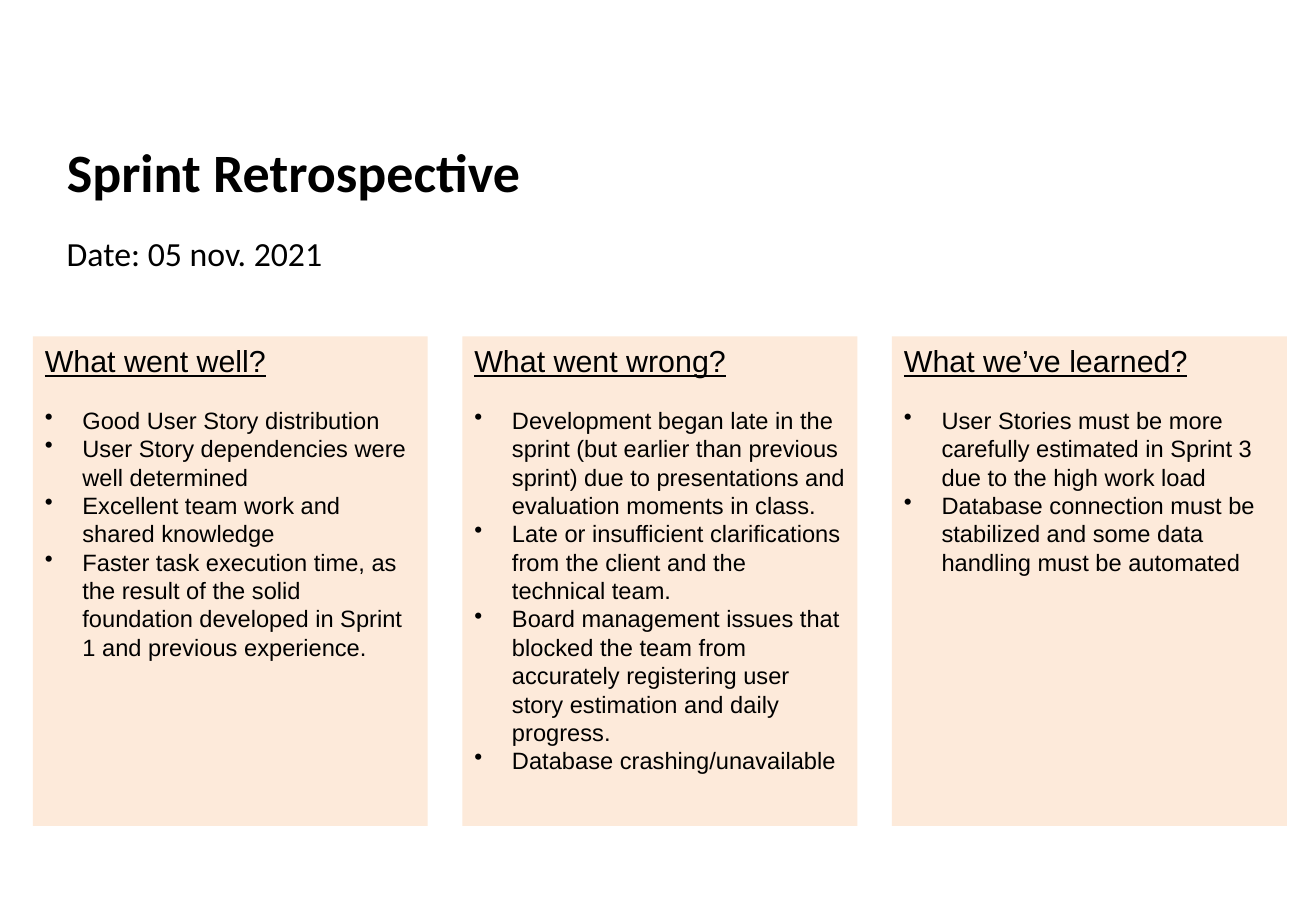
from pptx import Presentation, util as u
from pptx.dml.color import RGBColor
from pptx.enum import shapes, text
from pptx.oxml.ns import qn
from lxml import etree

# Content
TITLE = "Sprint Retrospective"
DATE = "Date: 05 nov. 2021"
CARDS = [
    ("What went well?", [
        "Good User Story distribution",
        "User Story dependencies were well determined",
        "Excellent team work and shared knowledge",
        "Faster task execution time, as the result of the solid foundation "
        "developed in Sprint 1 and previous experience.",
    ]),
    ("What went wrong?", [
        "Development began late in the sprint (but earlier than previous "
        "sprint) due to presentations and evaluation moments in class.",
        "Late or insufficient clarifications from the client and the "
        "technical team.",
        "Board management issues that blocked the team from accurately "
        "registering user story estimation and daily progress.",
        "Database crashing/unavailable",
    ]),
    ("What we’ve learned?", [
        "User Stories must be more carefully estimated in Sprint 3 due to "
        "the high work load",
        "Database connection must be stabilized and some data handling must "
        "be automated",
    ]),
]
COLORS = {"ink": "000000", "card": "FDEADA"}

# Layout, in inches
WIDTH, HEIGHT = 10.83, 7.5
HEAD_X, HEAD_W = 0.45, 9.89
CARD_X, CARD_Y, CARD_W, CARD_H = 0.27, 2.77, 3.25, 4.03
GAP = 0.285
INDENT = 0.31


def color(name):
    return RGBColor.from_string(COLORS[name])


def box(x, y, w, h):
    return [u.Inches(v) for v in (x, y, w, h)]


def style(para, font, size, bold=False, line=False):
    para.alignment = text.PP_ALIGN.LEFT
    para.font.name = font
    para.font.size = u.Pt(size)
    para.font.bold = bold
    para.font.underline = line
    para.font.color.rgb = color("ink")


def bullet(para):
    props = para._p.get_or_add_pPr()
    props.set("marL", str(u.Inches(INDENT)))
    props.set("indent", str(-u.Inches(INDENT)))
    mark = etree.Element(qn("a:buChar"), char="•")
    props.insert_element_before(mark, "a:tabLst", "a:defRPr", "a:extLst")


def add_card(slide, col, head, items):
    x = CARD_X + col * (CARD_W + GAP)
    card = slide.shapes.add_shape(shapes.MSO_SHAPE.RECTANGLE,
                                  *box(x, CARD_Y, CARD_W, CARD_H))
    card.shadow.inherit = False
    card.fill.solid()
    card.fill.fore_color.rgb = color("card")
    card.line.fill.background()
    frame = card.text_frame
    frame.word_wrap = True
    frame.vertical_anchor = text.MSO_ANCHOR.TOP
    para = frame.paragraphs[0]
    para.text = head
    para.space_after = u.Pt(16)
    style(para, "Arial", 18, line=True)
    for item in items:
        para = frame.add_paragraph()
        para.text = item
        style(para, "Arial", 14)
        bullet(para)


def main():
    prs = Presentation()
    prs.slide_width, prs.slide_height = u.Inches(WIDTH), u.Inches(HEIGHT)
    slide = prs.slides.add_slide(prs.slide_layouts[5])

    # Title and date
    title = slide.shapes.title
    title.left, title.top, title.width, title.height = box(
        HEAD_X, 1.09, HEAD_W, 0.63)
    title.text_frame.text = TITLE
    title.text_frame.vertical_anchor = text.MSO_ANCHOR.MIDDLE
    style(title.text_frame.paragraphs[0], "Calibri", 32, bold=True)

    date = slide.shapes.add_textbox(*box(HEAD_X, 1.87, HEAD_W, 0.5))
    date.text_frame.word_wrap = True
    date.text_frame.text = DATE
    style(date.text_frame.paragraphs[0], "Calibri", 20)

    # Three cards
    for col, (head, items) in enumerate(CARDS):
        add_card(slide, col, head, items)

    prs.save("out.pptx")


if __name__ == "__main__":
    main()
